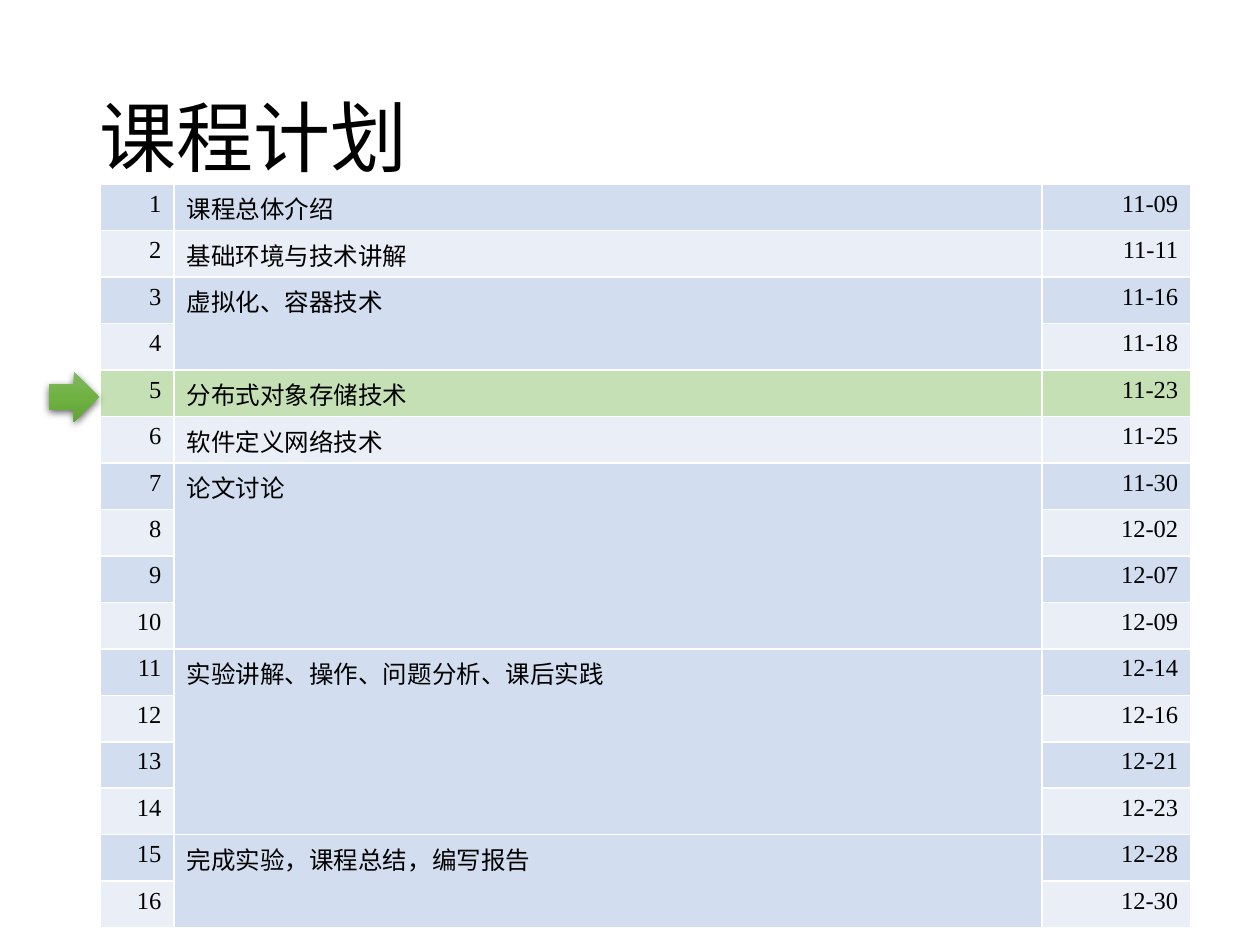
from dataclasses import dataclass

from lxml.etree import SubElement
from pptx import Presentation
from pptx.dml.color import RGBColor
from pptx.enum.shapes import MSO_SHAPE as Preset
from pptx.enum.text import MSO_ANCHOR as Anchor, PP_ALIGN as Align
from pptx.oxml.ns import qn
from pptx.util import Emu, Pt

PX_PER_INCH = 126


@dataclass(frozen=True)
class Theme:
    font: str = "Times New Roman"
    title_size: int = 44
    cell_size: int = 14
    ink: str = "000000"
    border: str = "FFFFFF"
    bands: tuple = ("D2DEEF", "EAEFF7")
    current: str = "C5E0B4"
    arrow_stops: tuple = ((0, "81B861"), (50, "6FB242"), (100, "62A336"))


@dataclass(frozen=True)
class Box:
    left: int
    top: int
    width: int
    height: int

    def emu(self) -> tuple:
        return tuple(map(px, (self.left, self.top, self.width, self.height)))


@dataclass(frozen=True)
class Topic:
    name: str
    dates: tuple
    current: bool = False


THEME = Theme()
TITLE_BOX = Box(87, 50, 1086, 183)
TABLE_BOX = Box(100, 184, 1091, 744)
ARROW_BOX = Box(49, 372, 50, 50)
COLUMN_WIDTHS = (74, 868, 149)
TOPICS = (
    Topic("课程总体介绍", ("11-09",)),
    Topic("基础环境与技术讲解", ("11-11",)),
    Topic("虚拟化、容器技术", ("11-16", "11-18")),
    Topic("分布式对象存储技术", ("11-23",), current=True),
    Topic("软件定义网络技术", ("11-25",)),
    Topic("论文讨论", ("11-30", "12-02", "12-07", "12-09")),
    Topic("实验讲解、操作、问题分析、课后实践", ("12-14", "12-16", "12-21", "12-23")),
    Topic("完成实验，课程总结，编写报告", ("12-28", "12-30")),
)


def px(length: int) -> Emu:
    return Emu(round(length * 914400 / PX_PER_INCH))


def write(text_frame, text: str, size: int, align=Align.LEFT) -> None:
    text_frame.text = text
    paragraph = text_frame.paragraphs[0]
    paragraph.alignment = align
    font = paragraph.runs[0].font
    font.name, font.size = THEME.font, Pt(size)
    font.color.rgb = RGBColor.from_string(THEME.ink)


def add_color(parent, color: str):
    return SubElement(parent, qn("a:srgbClr"), val=color)


def style_cell(cell, color: str) -> None:
    properties = cell._tc.get_or_add_tcPr()
    for side in ("lnL", "lnR", "lnT", "lnB"):
        line = SubElement(properties, qn(f"a:{side}"), w=str(Pt(1)))
        add_color(SubElement(line, qn("a:solidFill")), THEME.border)
    cell.fill.solid()
    cell.fill.fore_color.rgb = RGBColor.from_string(color)


def add_title(slide, text: str) -> None:
    text_frame = slide.shapes.add_textbox(*TITLE_BOX.emu()).text_frame
    text_frame.word_wrap = True
    text_frame.vertical_anchor = Anchor.MIDDLE
    write(text_frame, text, THEME.title_size)
    text_frame.paragraphs[0].line_spacing = 0.9


def add_schedule(slide, topics: tuple) -> None:
    row_count = sum(len(topic.dates) for topic in topics)
    table = slide.shapes.add_table(row_count, len(COLUMN_WIDTHS), *TABLE_BOX.emu()).table
    table.first_row = table.horz_banding = False
    for column, width in zip(table.columns, COLUMN_WIDTHS):
        column.width = px(width)
    for row in table.rows:
        row.height = px(TABLE_BOX.height) // row_count

    first = 0
    for topic in topics:
        last = first + len(topic.dates) - 1
        for index, date in enumerate(topic.dates, start=first):
            color = THEME.current if topic.current else THEME.bands[index % 2]
            topic_color = THEME.current if topic.current else THEME.bands[first % 2]
            for column, fill in enumerate((color, topic_color, color)):
                style_cell(table.cell(index, column), fill)
            for column, text in ((0, str(index + 1)), (2, date)):
                write(table.cell(index, column).text_frame, text, THEME.cell_size, Align.RIGHT)
        topic_cell = table.cell(first, 1)
        if last > first:
            topic_cell.merge(table.cell(last, 1))
        write(topic_cell.text_frame, topic.name, THEME.cell_size)
        first = last + 1


def add_current_arrow(slide) -> None:
    arrow = slide.shapes.add_shape(Preset.RIGHT_ARROW, *ARROW_BOX.emu())
    arrow.line.fill.background()
    # Three-stop vertical gradient
    arrow.fill.gradient()
    arrow.fill.gradient_angle = 270
    properties = arrow._element.spPr
    stops = properties.find(f".//{qn('a:gsLst')}")
    for stop in list(stops):
        stops.remove(stop)
    for percent, color in THEME.arrow_stops:
        add_color(SubElement(stops, qn("a:gs"), pos=str(percent * 1000)), color)
    # Soft shadow below
    arrow.shadow.inherit = False
    shadow = SubElement(
        properties.find(qn("a:effectLst")), qn("a:outerShdw"),
        blurRad=str(Pt(4.5)), dist=str(Pt(1.5)), dir="5400000", algn="ctr", rotWithShape="0",
    )
    SubElement(add_color(shadow, THEME.ink), qn("a:alpha"), val="63000")


def main() -> None:
    presentation = Presentation()
    presentation.slide_width, presentation.slide_height = px(1260), px(945)
    slide = presentation.slides.add_slide(presentation.slide_layouts[6])
    add_title(slide, "课程计划")
    add_schedule(slide, TOPICS)
    add_current_arrow(slide)
    presentation.save("out.pptx")


if __name__ == "__main__":
    main()
